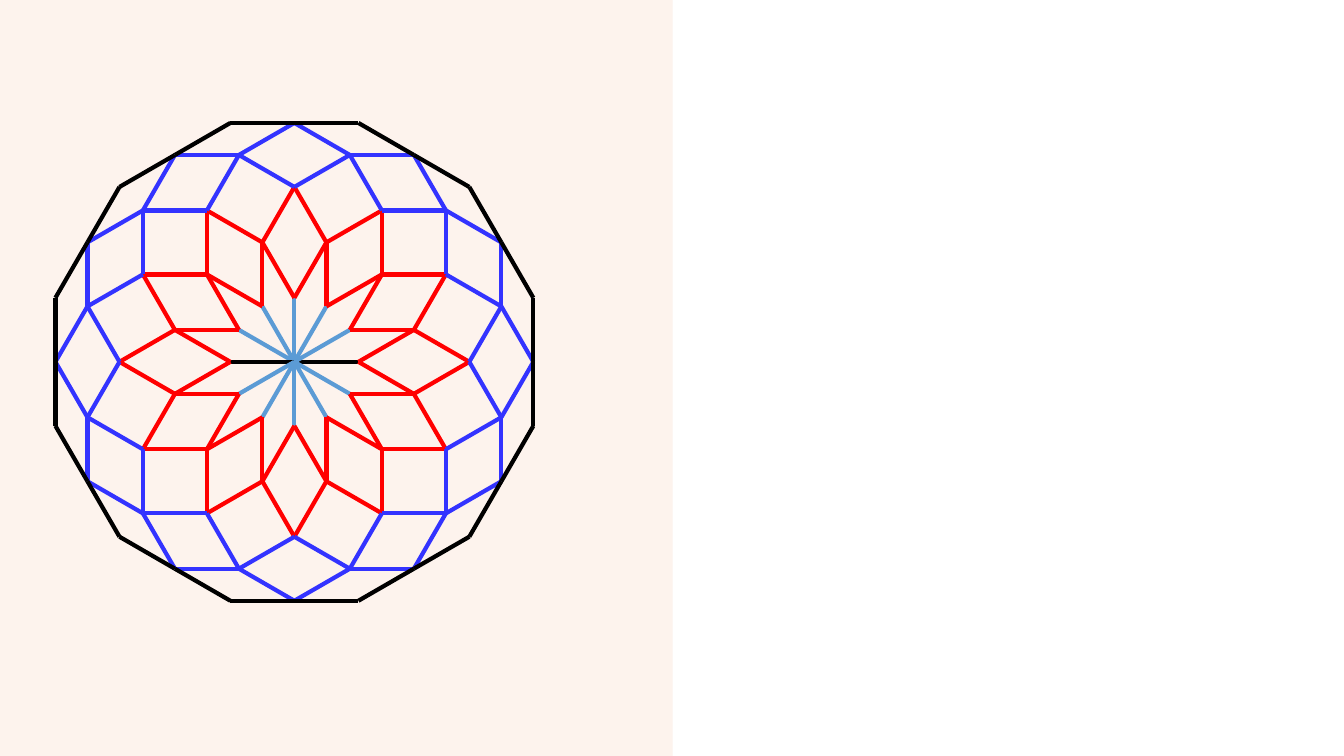
import math

import pptx
import pptx.dml.color
import pptx.enum.shapes
import pptx.oxml
import pptx.oxml.ns
import pptx.util

Inches = pptx.util.Inches

THEME = {
    "panel": "F4B183", "edge": "FBE5D6", "spoke": "5B9BD5",
    "petal": "FF0000", "ring": "3333FF", "rim": "000000",
    "thick": 3, "thin": 0.25,
}
SIZE = (13.33, 7.5)
PANEL = 6.67
CENTRE = (2.92, 3.59)
REACH = 2.37  # centre to the middle of a rim side
STEP = 30     # degrees between petals

# Links inside each sector: from layer, to layer, colour
LINKS = [
    (3, 2, "petal"), (1, 2, "petal"),
    (5, 4, "ring"), (3, 4, "ring"),
    (5, 6, "rim"),
]
TURNS = range(0, 360, STEP)
SECTORS = sorted(TURNS, key=lambda turn: turn != 90)  # top sector first


def wave(layer):
    return math.sin(math.radians(layer * STEP / 2))


def node(layer, turn):
    """Point of a layer; each layer is a sum of equal sides 30 degrees apart."""
    far = REACH * wave(layer) / wave(5)
    angle = math.radians(turn)
    return (CENTRE[0] + far * math.cos(angle),
            CENTRE[1] - far * math.sin(angle))


def fade(fill, share):
    """Set the opacity of a solid fill or line, in percent."""
    tint = fill._xPr.find(".//" + pptx.oxml.ns.qn("a:srgbClr"))
    alpha = pptx.oxml.parse_xml(
        f'<a:alpha {pptx.oxml.ns.nsdecls("a")} val="{share * 1000}"/>')
    tint.append(alpha)


def draw(slide, start, end, tone, width=THEME["thick"]):
    line = slide.shapes.add_connector(
        pptx.enum.shapes.MSO_CONNECTOR.STRAIGHT,
        *(Inches(value) for value in (*start, *end)))
    line.line.color.rgb = pptx.dml.color.RGBColor.from_string(THEME[tone])
    line.line.width = pptx.util.Pt(width)
    line._element.spPr.append(pptx.oxml.parse_xml(
        f'<a:effectLst {pptx.oxml.ns.nsdecls("a")}/>'))
    return line


def back(slide):
    panel = slide.shapes.add_shape(
        pptx.enum.shapes.MSO_SHAPE.RECTANGLE,
        0, 0, Inches(PANEL), Inches(SIZE[1]))
    panel.shadow.inherit = False
    panel.fill.solid()
    panel.fill.fore_color.rgb = pptx.dml.color.RGBColor.from_string(
        THEME["panel"])
    panel.line.fill.background()
    fade(panel.fill, 14)
    edge = draw(slide, (PANEL, SIZE[1]), (PANEL, 0), "edge", THEME["thin"])
    fade(edge.line.fill, 50)


def rosette(slide):
    for turn in TURNS:
        tone = "rim" if turn % 180 == 0 else "spoke"
        draw(slide, CENTRE, node(1, turn), tone)
    for turn in SECTORS:
        for near, far, tone in LINKS:
            for side in (STEP / 2, -STEP / 2):
                draw(slide, node(near, turn), node(far, turn + side), tone)


def main():
    deck = pptx.Presentation()
    deck.slide_width, deck.slide_height = map(Inches, SIZE)
    slide = deck.slides.add_slide(deck.slide_layouts[6])
    back(slide)
    rosette(slide)
    deck.save("out.pptx")


if __name__ == "__main__":
    main()
